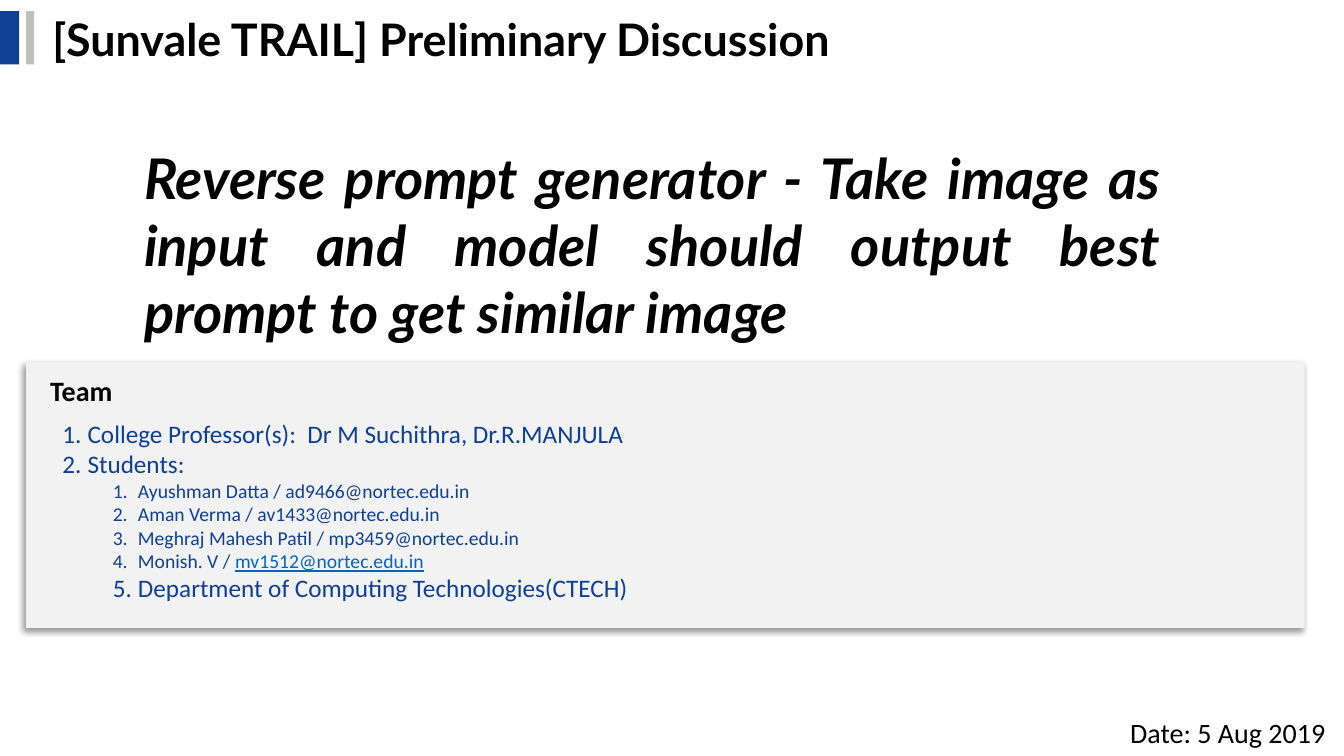
from lxml.etree import SubElement
from pptx import Presentation
from pptx.dml.color import RGBColor
from pptx.enum.shapes import MSO_SHAPE
from pptx.enum.text import MSO_ANCHOR, PP_ALIGN
from pptx.oxml.ns import qn
from pptx.util import Inches, Pt

WIDTH, HEIGHT = 13.33, 7.5
BLACK, NAVY, LINK_BLUE = "000000", "0E4094", "0563C1"
PANEL_GRAY, STRIPE_GRAY = "F2F2F2", "BFBFBF"
MARKER_TOP, MARKER_HEIGHT = 0.11, 0.53
PANEL_LEFT = 0.26
MAIL_DOMAIN = "@nortec.edu.in"


def color(hex_string):
    return RGBColor.from_string(hex_string)


def add_block(slide, left, top, width, height, fill):
    """Add a plain filled rectangle."""
    shape = slide.shapes.add_shape(
        MSO_SHAPE.RECTANGLE, Inches(left), Inches(top), Inches(width), Inches(height))
    shape.shadow.inherit = False
    shape.fill.solid()
    shape.fill.fore_color.rgb = color(fill)
    shape.line.fill.background()
    return shape


def add_shadow(shape, blur, distance, angle, opacity):
    """Give a shape an outer shadow; lengths in points, opacity in percent."""
    effects = shape._element.spPr.find(qn("a:effectLst"))
    shadow = SubElement(
        effects, qn("a:outerShdw"), blurRad=str(Pt(blur)), dist=str(Pt(distance)),
        dir=str(angle * 60000), algn="tr", rotWithShape="0")
    shade = SubElement(shadow, qn("a:srgbClr"), val=BLACK)
    SubElement(shade, qn("a:alpha"), val=str(opacity * 1000))


def add_text_frame(slide, left, top, width, height, anchor=MSO_ANCHOR.MIDDLE, wrap=True):
    box = slide.shapes.add_textbox(Inches(left), Inches(top), Inches(width), Inches(height))
    frame = box.text_frame
    frame.word_wrap = wrap
    frame.vertical_anchor = anchor
    return frame


def add_run(paragraph, text, size, font="Calibri", fill=BLACK,
            bold=False, italic=False, underline=False):
    paragraph.alignment = PP_ALIGN.JUSTIFY
    run = paragraph.add_run()
    run.text = text
    run.font.name = font
    run.font.size = Pt(size)
    run.font.bold = bold
    run.font.italic = italic
    run.font.underline = underline
    run.font.color.rgb = color(fill)


def set_number(paragraph, level):
    """Number a paragraph automatically with a hanging indent."""
    paragraph.level = level
    properties = paragraph._p.get_or_add_pPr()
    properties.set("marL", str(Inches(0.25 + 0.5 * level)))
    properties.set("indent", str(Inches(-0.25)))
    SubElement(properties, qn("a:buFont"), typeface="+mj-lt")
    SubElement(properties, qn("a:buAutoNum"), type="arabicPeriod")


def add_numbered_list(frame, items):
    """Each item is a level, a text size and a list of (text, is_mail_link)."""
    for index, (level, size, parts) in enumerate(items):
        paragraph = frame.add_paragraph() if index else frame.paragraphs[0]
        set_number(paragraph, level)
        for text, is_link in parts:
            add_run(paragraph, text, size, fill=LINK_BLUE if is_link else NAVY,
                    underline=is_link)


def main():
    presentation = Presentation()
    presentation.slide_width = Inches(WIDTH)
    presentation.slide_height = Inches(HEIGHT)
    slide = presentation.slides.add_slide(presentation.slide_layouts[6])

    # Team panel
    panel = add_block(slide, PANEL_LEFT, 3.59, 12.68, 2.64, PANEL_GRAY)
    add_shadow(panel, blur=4, distance=3, angle=135, opacity=40)

    # Header with its two marker stripes
    add_block(slide, 0, MARKER_TOP, 0.19, MARKER_HEIGHT, NAVY)
    add_block(slide, PANEL_LEFT, MARKER_TOP, 0.08, MARKER_HEIGHT, STRIPE_GRAY)
    header = add_text_frame(slide, 0.42, 0.06, 10.28, 0.64)
    add_run(header.paragraphs[0], "[Sunvale TRAIL] Preliminary Discussion", 32,
            font="Lato", bold=True)

    # Team members
    heading = add_text_frame(slide, 0.4, 3.66, 0.84, 0.44, MSO_ANCHOR.TOP, wrap=False)
    add_run(heading.paragraphs[0], "Team", 20, bold=True)
    students = [("Ayushman Datta", "ad9466"), ("Aman Verma", "av1433"),
                ("Meghraj Mahesh Patil", "mp3459")]
    items = [
        (0, 18, [("College Professor(s):  Dr M Suchithra, Dr.R.MANJULA", False)]),
        (0, 18, [("Students:", False)]),
        *[(1, 14, [(f"{name} / {user}{MAIL_DOMAIN}", False)]) for name, user in students],
        (1, 14, [("Monish. V / ", False), (f"mv1512{MAIL_DOMAIN}", True)]),
        (1, 18, [("Department of Computing Technologies(CTECH)", False)]),
    ]
    add_numbered_list(add_text_frame(slide, 0.52, 4.09, 11.91, 1.95), items)

    # Date in the bottom right corner
    date = add_text_frame(slide, WIDTH - 2.22, 7.04, 2.22, 0.44)
    add_run(date.paragraphs[0], "Date: 5 Aug 2019", 20)

    # Project topic
    topic = add_text_frame(slide, 1.33, 1.36, 10.28, 2.12)
    add_run(topic.paragraphs[0],
            "Reverse prompt generator - Take image as input and model should "
            "output best prompt to get similar image",
            40, font="Lato", bold=True, italic=True)

    presentation.save("out.pptx")


if __name__ == "__main__":
    main()
